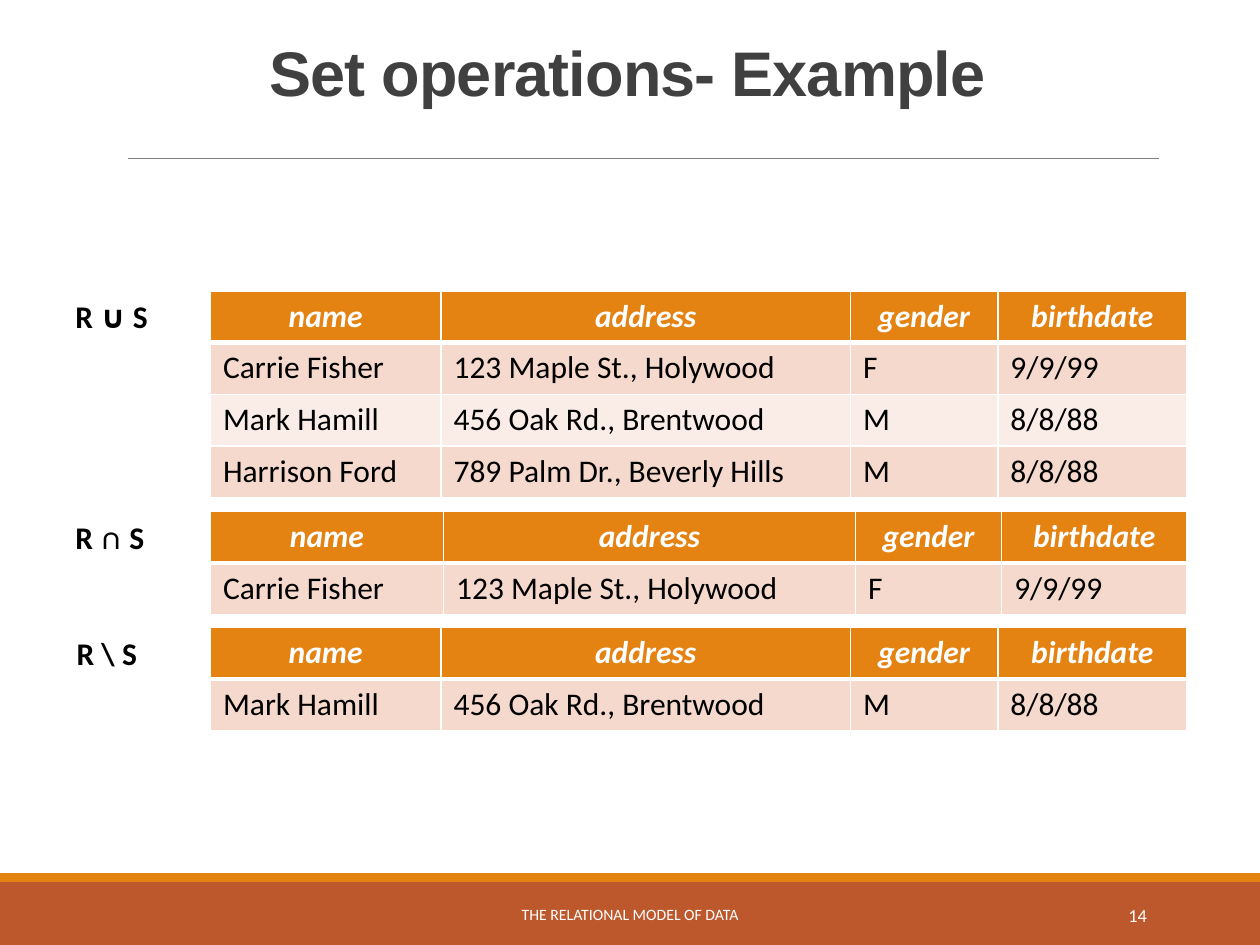
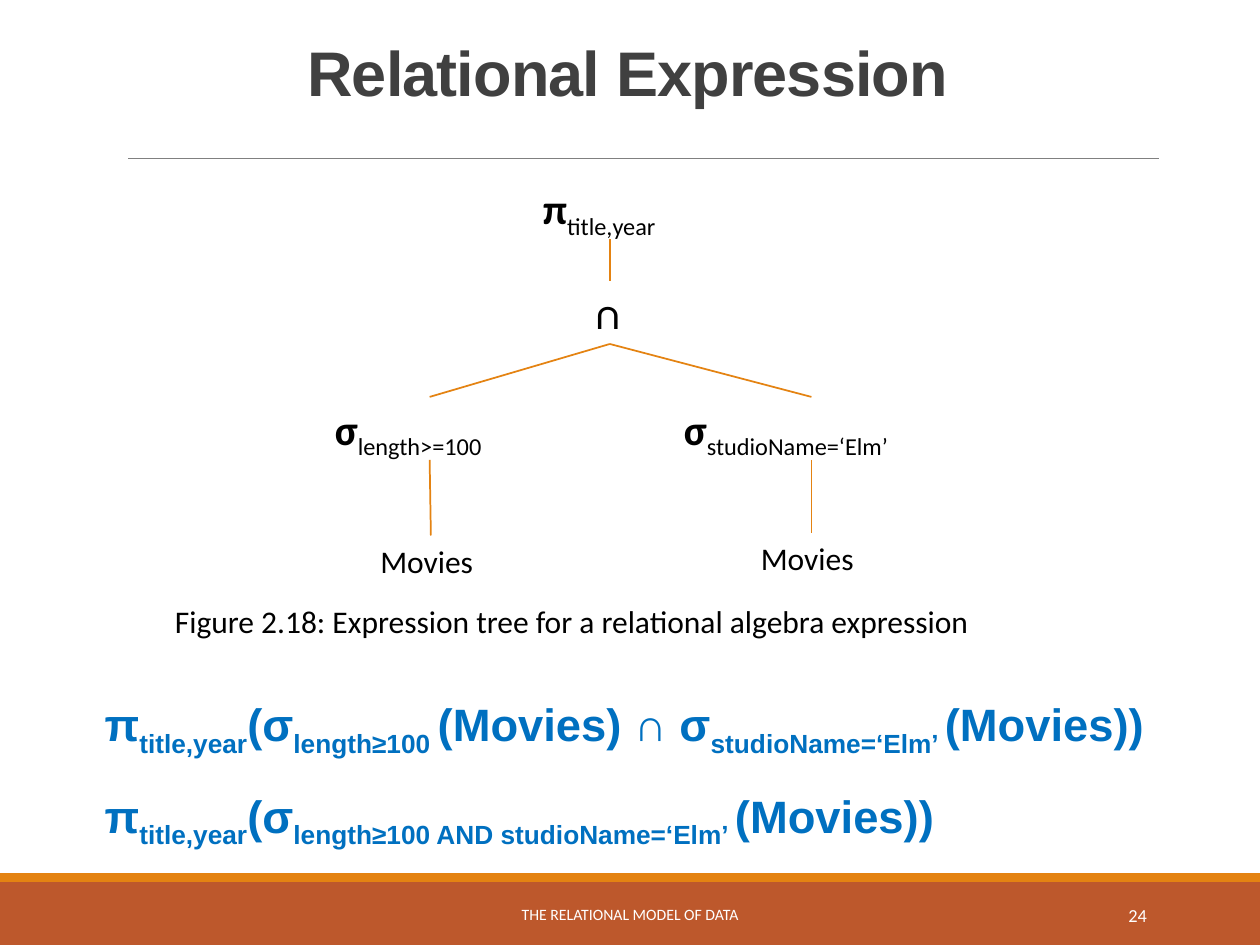
from lxml.etree import SubElement
from pptx import Presentation
from pptx.dml.color import RGBColor
from pptx.enum.shapes import MSO_CONNECTOR as Connector, MSO_SHAPE as Shape
from pptx.enum.text import MSO_ANCHOR as Anchor, MSO_AUTO_SIZE as AutoSize, PP_ALIGN as Align
from pptx.oxml import parse_xml
from pptx.oxml.ns import nsdecls, qn
from pptx.util import Inches, Pt

PX = Inches(0.01)
WIDTH, HEIGHT = 1000, 750
TITLE_ONLY, TITLE_AND_BODY = 5, 1

WHITE = RGBColor(0xFF, 0xFF, 0xFF)
BLACK = RGBColor(0x00, 0x00, 0x00)
CHARCOAL = RGBColor(0x40, 0x40, 0x40)
GRAY = RGBColor(0x80, 0x80, 0x80)
ORANGE = RGBColor(0xE4, 0x83, 0x12)
RUST = RGBColor(0xBD, 0x58, 0x2C)
BLUE = RGBColor(0x00, 0x70, 0xC0)
ROW_DARK = RGBColor(0xF5, 0xD9, 0xCC)
ROW_LIGHT = RGBColor(0xFA, 0xED, 0xE7)

FOOTER = "THE RELATIONAL MODEL OF DATA"
HEADINGS = ["name", "address", "gender", "birthdate"]
FISHER = ["Carrie Fisher", "123 Maple St., Holywood", "F", "9/9/99"]
HAMILL = ["Mark Hamill", "456 Oak Rd., Brentwood", "M", "8/8/88"]
FORD = ["Harrison Ford", "789 Palm Dr., Beverly Hills", "M", "8/8/88"]
WIDE_COLUMNS = [183, 325, 117, 150]
EVEN_COLUMNS = [185, 327, 116, 147]

RELATIONS = [
    ("R ∪ S", 50, 231, 89, WIDE_COLUMNS, [FISHER, HAMILL, FORD]),
    ("R ∩ S", 50, 406, 89, EVEN_COLUMNS, [FISHER]),
    ("R \\ S", 51, 498, 82, WIDE_COLUMNS, [HAMILL]),
]

TREE_NODES = {
    "projection": ("π|title,year", 421, 140, 127, 50),
    "intersection": ("∩", 461, 223, 46, 50),
    "length filter": ("σ|length>=100", 256, 315, 170, 50),
    "studio filter": ("σ|studioName=‘Elm’", 533, 315, 223, 50),
    "left movies": ("Movies", 292, 425, 100, 40),
    "right movies": ("Movies", 594, 423, 100, 40),
}
TREE_EDGES = [
    ("projection", "intersection"),
    ("intersection", "length filter"),
    ("intersection", "studio filter"),
    ("length filter", "left movies"),
    ("studio filter", "right movies"),
]
EXPRESSIONS = [
    "π|title,year|(σ|length≥100 |(Movies) ∩ σ|studioName=‘Elm’ |(Movies))",
    "π|title,year|(σ|length≥100 AND studioName=‘Elm’ |(Movies))",
]


def write(frame, *lines, size=18, font="Calibri", color=BLACK, bold=False, italic=False,
          bold_subscript=False, align=Align.LEFT, spacing=None, before=0, tracking=None,
          hanging=None):
    for index, line in enumerate(lines):
        para = frame.add_paragraph() if index else frame.paragraphs[0]
        para.alignment = align
        para.space_before = Pt(before)
        if spacing:
            para.line_spacing = spacing
        if hanging:
            left, indent = hanging
            properties = para._p.get_or_add_pPr()
            properties.set("marL", str(left * PX))
            properties.set("indent", str(indent * PX))
            SubElement(properties, qn("a:buNone"))
        for position, text in enumerate(line.split("|")):
            subscript = position % 2 == 1
            span = para.add_run()
            span.text = text
            span.font.name = font
            span.font.size = Pt(size)
            span.font.color.rgb = color
            span.font.bold = bold_subscript if subscript else bold
            span.font.italic = italic
            properties = span._r.get_or_add_rPr()
            if subscript:
                properties.set("baseline", "-25000")
            if tracking:
                properties.set("spc", str(int(tracking * 100)))


class SlideBuilder:
    def __init__(self, deck):
        self.deck = deck
        self.page = None

    def place(self, shape, left, top, width, height):
        shape.left, shape.top = left * PX, top * PX
        shape.width, shape.height = width * PX, height * PX

    def start(self, title, number, layout=TITLE_ONLY):
        self.page = self.deck.slides.add_slide(self.deck.slide_layouts[layout])
        self.band(700, 50, RUST)
        self.band(693, 7, ORANGE)
        self.line((102, 126), (920, 126), GRAY, 0.5)
        heading = self.page.shapes.title
        self.place(heading, 64, 31, 868, 92)
        heading.text_frame.vertical_anchor = Anchor.TOP
        heading.text_frame.auto_size = AutoSize.NONE
        write(heading.text_frame, title, size=36, font="Arial", color=CHARCOAL, bold=True,
              align=Align.CENTER, spacing=0.85, tracking=-0.5)
        self.text(FOOTER, 302, 706, 396, 40, wrap=True, anchor=Anchor.MIDDLE,
                  size=9, color=WHITE, align=Align.CENTER)
        self.text(str(number), 812, 706, 108, 40, wrap=True, anchor=Anchor.MIDDLE,
                  size=10.5, color=WHITE, align=Align.RIGHT)

    def band(self, top, height, color):
        band = self.page.shapes.add_shape(Shape.RECTANGLE, 0, top * PX, WIDTH * PX, height * PX)
        band.shadow.inherit = False
        band.fill.solid()
        band.fill.fore_color.rgb = color
        band.line.fill.background()

    def line(self, start, end, color, weight):
        ends = [length * PX for length in (*start, *end)]
        line = self.page.shapes.add_connector(Connector.STRAIGHT, *ends)
        line.line.color.rgb = color
        line.line.width = Pt(weight)
        SubElement(line._element.spPr, qn("a:effectLst"))

    def text(self, text, left, top, width, height, wrap=False, anchor=Anchor.TOP, **style):
        box = self.page.shapes.add_textbox(left * PX, top * PX, width * PX, height * PX)
        frame = box.text_frame
        frame.word_wrap = wrap
        frame.auto_size = AutoSize.NONE if wrap else AutoSize.SHAPE_TO_FIT_TEXT
        frame.vertical_anchor = anchor
        write(frame, text, **style)

    def body(self, lines, left, top, width, height, insets, **style):
        box = self.page.placeholders[1]
        self.place(box, left, top, width, height)
        frame = box.text_frame
        frame.auto_size = AutoSize.NONE
        frame.vertical_anchor = Anchor.TOP
        frame.margin_left, frame.margin_top, frame.margin_right, frame.margin_bottom = [
            inset * PX for inset in insets]
        write(frame, *lines, **style)

    def table(self, left, top, columns, records, row_height=41):
        rows = [HEADINGS, *records]
        table = self.page.shapes.add_table(
            len(rows), len(columns), left * PX, top * PX,
            sum(columns) * PX, len(rows) * row_height * PX).table
        for column, width in zip(table.columns, columns):
            column.width = width * PX
        for row_index, values in enumerate(rows):
            table.rows[row_index].height = row_height * PX
            header = row_index == 0
            fill = ORANGE if header else ROW_DARK if row_index % 2 else ROW_LIGHT
            for column_index, value in enumerate(values):
                cell = table.cell(row_index, column_index)
                cell.fill.solid()
                cell.fill.fore_color.rgb = fill
                self.borders(cell, top=3 if row_index == 1 else 1, bottom=3 if header else 1)
                write(cell.text_frame, value, color=WHITE if header else BLACK, bold=header,
                      italic=header, align=Align.CENTER if header else Align.LEFT)

    def borders(self, cell, top, bottom):
        properties = cell._tc.get_or_add_tcPr()
        sides = [("lnL", 1), ("lnR", 1), ("lnT", top), ("lnB", bottom)]
        for index, (side, weight) in enumerate(sides):
            properties.insert(index, parse_xml(
                f'<a:{side} {nsdecls("a")} w="{Pt(weight)}"><a:solidFill>'
                f'<a:srgbClr val="{WHITE}"/></a:solidFill></a:{side}>'))


def build_set_operations(builder):
    builder.start("Set operations- Example", 14)
    for label, left, top, width, columns, records in RELATIONS:
        builder.table(167, top, columns, records)
        builder.text(label, left, top, width, 40, bold=True)


def build_expression_tree(builder):
    builder.start("Relational Expression", 24, TITLE_AND_BODY)
    for text, left, top, width, height in TREE_NODES.values():
        leaf = text == "Movies"
        builder.text(text, left, top, width, height, size=18 if leaf else 24, bold=not leaf)
    for parent, child in TREE_EDGES:
        _, left, top, width, height = TREE_NODES[parent]
        _, child_left, child_top, child_width, _ = TREE_NODES[child]
        builder.line((left + width // 2, top + height),
                     (child_left + child_width // 2, child_top), ORANGE, 1)
    builder.text("Figure 2.18: Expression tree for a relational algebra expression",
                 129, 473, 718, 40)
    builder.body(EXPRESSIONS, 64, 523, 925, 133, insets=(6, 10, 10, 5), size=25.9,
                 font="Arial", color=BLUE, bold=True, bold_subscript=True, spacing=1.4,
                 before=3, hanging=(48, -35))


def main():
    deck = Presentation()
    deck.slide_width, deck.slide_height = WIDTH * PX, HEIGHT * PX
    builder = SlideBuilder(deck)
    build_set_operations(builder)
    build_expression_tree(builder)
    deck.save("out.pptx")


if __name__ == "__main__":
    main()
